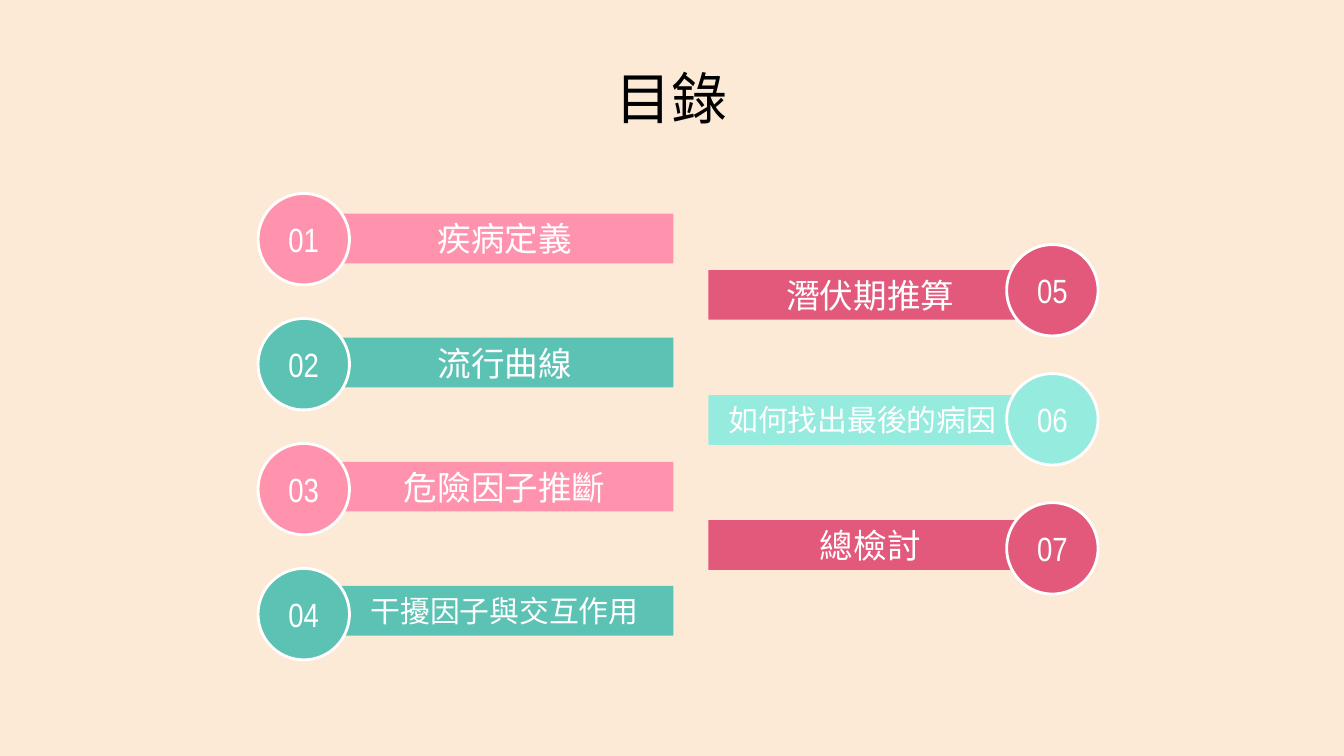
from pptx import Presentation
from pptx.dml.color import RGBColor
from pptx.enum.shapes import MSO_SHAPE as SHAPE
from pptx.enum.text import MSO_ANCHOR as ANCHOR, PP_ALIGN as ALIGN
from pptx.util import Inches, Pt

# Content
TITLE = "目錄"
HEAD_FONT, BODY_FONT = "Arial Narrow", "Lato"
WHITE, BLACK, CREAM = "FFFFFF", "000000", "FCEAD6"
PINK, TEAL, ROSE, MINT = "FF93AE", "5CC2B4", "E2597B", "96EBDF"

# Each item: number, colour, text size, alignment, runs of (text, font)
LEFT_ITEMS = [
    ("01", PINK, 18, ALIGN.CENTER, [("疾病定義", BODY_FONT)]),
    ("02", TEAL, 18, ALIGN.CENTER, [("流行", HEAD_FONT), ("曲線", BODY_FONT)]),
    ("03", PINK, 18, ALIGN.CENTER, [("危險因子推斷", BODY_FONT)]),
    ("04", TEAL, 16, ALIGN.CENTER, [("干擾因子與交互作用", BODY_FONT)]),
]
RIGHT_ITEMS = [
    ("05", ROSE, 18, ALIGN.CENTER, [("潛伏期推算", BODY_FONT)]),
    ("06", MINT, 16, ALIGN.LEFT, [("如何找出最後的病因", BODY_FONT)]),
    ("07", ROSE, 18, ALIGN.CENTER, [("總檢討", BODY_FONT)]),
]

# Columns: bars and circles are spread evenly between first and last top
COLUMNS = [
    dict(items=LEFT_ITEMS, bar_x=2.5, bar_w=2.51, bar_tops=(1.59, 4.36),
         dot_x=1.92, dot_tops=(1.44, 4.23)),
    dict(items=RIGHT_ITEMS, bar_x=5.27, bar_w=2.41, bar_tops=(2.01, 3.87),
         dot_x=7.49, dot_tops=(1.82, 3.74)),
]
BAR_H, DOT = 0.37, 0.68


def rgb(color):
    return RGBColor.from_string(color)


def spread(tops, count):
    first, last = tops
    return [first + i * (last - first) / (count - 1) for i in range(count)]


def write(sp, runs, size, color=WHITE, align=ALIGN.CENTER, inset=0.1):
    tf = sp.text_frame
    tf.word_wrap = True
    tf.vertical_anchor = ANCHOR.MIDDLE
    tf.margin_left = tf.margin_right = Inches(inset)
    tf.margin_top = tf.margin_bottom = Inches(inset)
    p = tf.paragraphs[0]
    p.alignment = align
    for text, font in runs:
        r = p.add_run()
        r.text = text
        r.font.name = font
        r.font.size = Pt(size)
        r.font.color.rgb = rgb(color)


def add_shape(s, kind, x, y, w, h, fill):
    sp = s.shapes.add_shape(kind, Inches(x), Inches(y), Inches(w), Inches(h))
    sp.shadow.inherit = False
    sp.fill.solid()
    sp.fill.fore_color.rgb = rgb(fill)
    sp.line.fill.background()
    return sp


# Widescreen 16:9 slide
prs = Presentation()
prs.slide_width = Inches(10)
prs.slide_height = Inches(10) * 9 // 16
s = prs.slides.add_slide(prs.slide_layouts[6])
s.background.fill.solid()
s.background.fill.fore_color.rgb = rgb(CREAM)

# Title
title = s.shapes.add_textbox(Inches(0.78), Inches(0.46), Inches(8.43), Inches(0.53))
write(title, [(TITLE, HEAD_FONT)], 30, BLACK)

# Agenda items: a bar with a numbered circle over its outer end
for col in COLUMNS:
    items = col["items"]
    bar_ys = spread(col["bar_tops"], len(items))
    dot_ys = spread(col["dot_tops"], len(items))
    for (number, color, size, align, runs), bar_y, dot_y in zip(items, bar_ys, dot_ys):
        bar = add_shape(s, SHAPE.RECTANGLE, col["bar_x"], bar_y,
                        col["bar_w"], BAR_H, color)
        write(bar, runs, size, align=align)
        if align == ALIGN.LEFT:
            bar.text_frame.margin_left = Inches(0.15)

        dot = add_shape(s, SHAPE.OVAL, col["dot_x"], dot_y, DOT, DOT, color)
        dot.line.color.rgb = rgb(WHITE)
        dot.line.width = Pt(1.5)
        write(dot, [(number, HEAD_FONT)], 18, inset=0)

prs.save("out.pptx")
